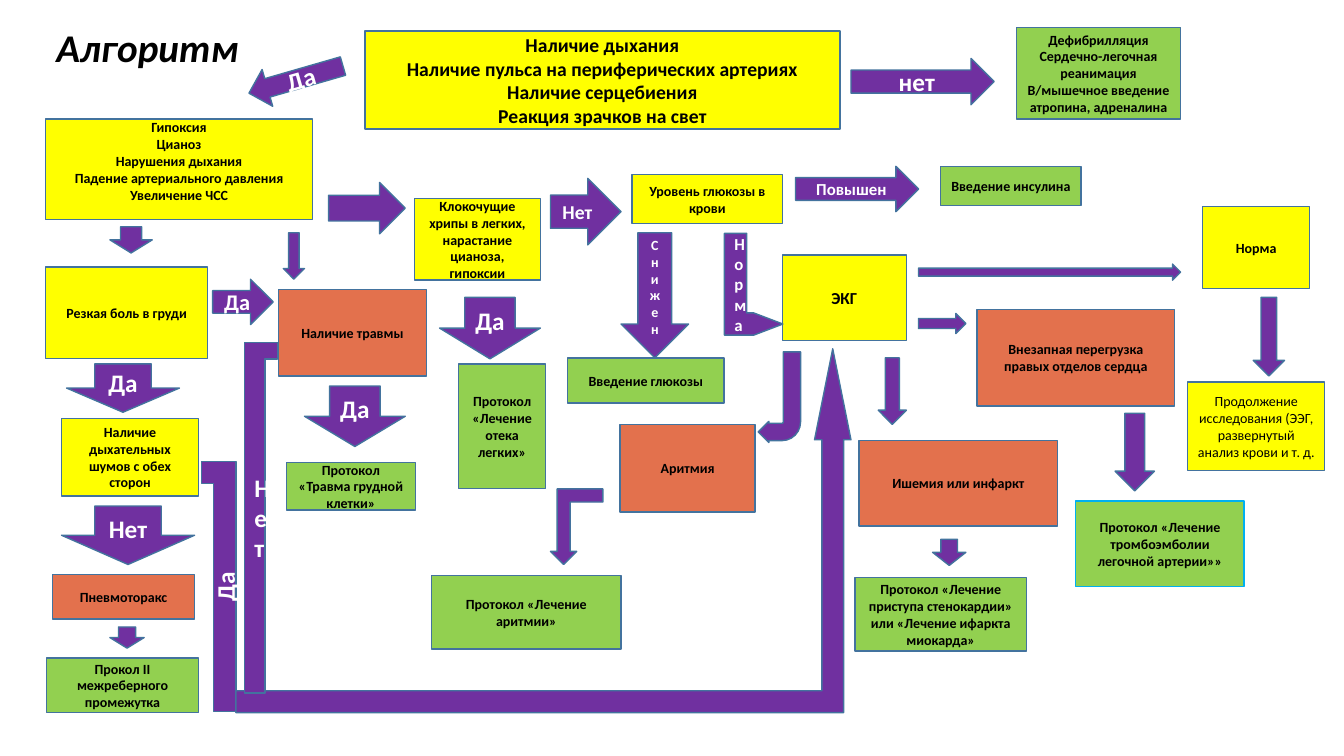
from pptx import Presentation
from pptx.dml.color import RGBColor
from pptx.enum.shapes import MSO_SHAPE
from pptx.enum.text import MSO_ANCHOR, MSO_AUTO_SIZE, PP_ALIGN
from pptx.util import Pt

RECTANGLE = MSO_SHAPE.RECTANGLE
RIGHT = MSO_SHAPE.RIGHT_ARROW
DOWN = MSO_SHAPE.DOWN_ARROW
BENT = MSO_SHAPE.BENT_ARROW
BENT_UP = MSO_SHAPE.BENT_UP_ARROW
CORNER = MSO_SHAPE.CORNER
TOP, MIDDLE = MSO_ANCHOR.TOP, MSO_ANCHOR.MIDDLE
LEFT, CENTER = PP_ALIGN.LEFT, PP_ALIGN.CENTER

PX = 9144  # 100 px to the inch
FONT = "Calibri"
COLORS = {
    "check": "FFFF00",
    "finding": "E3714D",
    "action": "92D050",
    "arrow": "7030A0",
    "outline": "43739E",
    "accent": "00B0F0",
    "dark": "000000",
    "light": "FFFFFF",
}


def write_text(shape, text, size=10, color="dark", bold=True, italic=False,
               align=CENTER, anchor=MIDDLE, wrap=True):
    frame = shape.text_frame
    frame.text = text
    frame.word_wrap = wrap
    frame.vertical_anchor = anchor
    for para in frame.paragraphs:
        para.alignment = align
        for span in para.runs:
            span.font.name = FONT
            span.font.size = Pt(size)
            span.font.bold = bold
            span.font.italic = italic
            span.font.color.rgb = RGBColor.from_string(COLORS[color])


def add_figure(page, kind, place, fill, outline="outline", turn=0, bends=()):
    """Add a filled preset shape; bends are its adjustment values."""
    figure = page.shapes.add_shape(kind, *(length * PX for length in place))
    figure.shadow.inherit = False
    figure.fill.solid()
    figure.fill.fore_color.rgb = RGBColor.from_string(COLORS[fill])
    figure.line.color.rgb = RGBColor.from_string(COLORS[outline])
    figure.line.width = Pt(1)
    figure.rotation = turn
    for index, bend in enumerate(bends):
        figure.adjustments[index] = bend
    return figure


deck = Presentation()
deck.slide_width = 1333 * PX
deck.slide_height = 750 * PX
page = deck.slides.add_slide(deck.slide_layouts[5])

title = page.shapes.title
title.left, title.top, title.width, title.height = (
    length * PX for length in (46, 18, 203, 57))
write_text(title, "Алгоритм", size=28, italic=True, align=LEFT, anchor=TOP, wrap=False)
title.text_frame.auto_size = MSO_AUTO_SIZE.SHAPE_TO_FIT_TEXT

# Steps: place, role, text, text format
steps = [
    ((362, 31, 471, 97), "check",
     "Наличие дыхания\nНаличие пульса на периферических артериях\n"
     "Наличие серцебиения\nРеакция зрачков на свет", {"size": 14}),
    ((45, 118, 265, 100), "check",
     "Гипоксия\nЦианоз\nНарушения дыхания\nПадение артериального давления\n"
     "Увеличение ЧСС", {"anchor": TOP}),
    ((1008, 27, 163, 91), "action",
     "Дефибрилляция\nСердечно-легочная реанимация\n"
     "В/мышечное введение атропина, адреналина", {}),
    ((45, 265, 161, 91), "check", "Резкая боль в груди", {}),
    ((276, 287, 147, 86), "finding", "Наличие травмы", {}),
    ((61, 415, 136, 77), "check", "Наличие дыхательных шумов с обех сторон", {}),
    ((52, 570, 141, 44), "finding", "Пневмоторакс", {}),
    ((46, 653, 151, 54), "action", "Прокол II межреберного промежутка", {}),
    ((284, 459, 128, 47), "action", "Протокол «Травма грудной клетки»", {}),
    ((627, 173, 149, 49), "check", "Уровень глюкозы в крови", {}),
    ((563, 355, 155, 45), "action", "Введение глюкозы", {}),
    ((933, 165, 139, 39), "action", "Введение инсулина", {}),
    ((776, 253, 123, 85), "check", "ЭКГ", {"size": 12}),
    ((615, 421, 134, 87), "finding", "Аритмия", {}),
    ((852, 437, 197, 85), "finding", "Ишемия или инфаркт", {}),
    ((969, 307, 196, 96), "finding", "Внезапная перегрузка правых отделов сердца", {}),
    ((1193, 205, 106, 81), "check", "Норма", {}),
    ((1178, 379, 136, 88), "check",
     "Продолжение исследования (ЭЭГ, развернутый анализ крови и т. д.", {"bold": False}),
    ((428, 571, 188, 73), "action", "Протокол «Лечение аритмии»", {}),
    ((848, 573, 170, 73), "action",
     "Протокол «Лечение приступа стенокардии» или «Лечение ифаркта миокарда»", {}),
    ((1067, 497, 167, 85), "action", "Протокол «Лечение тромбоэмболии легочной артерии»»", {}),
    ((411, 197, 125, 81), "check",
     "Клокочущие хрипы в легких, нарастание цианоза, гипоксии", {}),
    ((455, 361, 86, 124), "action", "Протокол\n«Лечение отека легких»", {}),
]
for place, role, text, text_format in steps:
    outline = "accent" if "тромбоэмболии" in text else "outline"
    step = add_figure(page, RECTANGLE, place, role, outline)
    write_text(step, text, **text_format)
    if text_format.get("anchor") == TOP:
        step.text_frame.margin_top = 0

# Straight arrows without a label
for kind, place in [
    (DOWN, (109, 225, 42, 26)),
    (DOWN, (109, 622, 34, 21)),
    (RIGHT, (326, 181, 76, 51)),
    (DOWN, (871, 355, 28, 66)),
    (RIGHT, (911, 262, 260, 16)),
    (DOWN, (1243, 295, 31, 78)),
    (DOWN, (925, 535, 33, 26)),
    (DOWN, (1106, 410, 39, 77)),
    (RIGHT, (911, 311, 47, 20)),
    (DOWN, (281, 231, 21, 46)),
]:
    add_figure(page, kind, place, "arrow")

# Straight arrows with a label
for kind, place, text, size in [
    (RIGHT, (844, 58, 142, 46), "нет", 18),
    (DOWN, (302, 383, 100, 60), "Да", 18),
    (DOWN, (66, 361, 112, 48), "Да", 18),
    (DOWN, (61, 502, 132, 58), "Нет", 18),
    (DOWN, (436, 295, 100, 61), "Да", 18),
    (RIGHT, (546, 177, 70, 66), "Нет", 14),
    (DOWN, (616, 231, 67, 124), "Снижен", 10),
    (RIGHT, (789, 165, 122, 45), "Повышен", 12),
    (RIGHT, (211, 277, 60, 45), "Да", 16),
]:
    write_text(add_figure(page, kind, place, "arrow"), text, size=size, color="light")

# Bent arrows
for kind, place, turn, bends in [
    (BENT, (752, 349, 42, 90), 180, (0.41, 0.25, 0.25, 0.44)),
    (BENT_UP, (546, 485, 52, 75), 180, ()),
]:
    add_figure(page, kind, place, "arrow", turn=turn, bends=bends)

# Bent branches with a label that runs along them
for kind, place, turn, bends, text, size, direction in [
    (BENT_UP, (697, 253, 101, 58), 90, (0.38, 0.19, 0.5), "Норма", 12, "vert270"),
    (CORNER, (200, 458, 34, 248), 180, (0.63, 0.65), "Да", 18, "vert"),
    (CORNER, (85, 497, 348, 33), 90, (0.62, 0.5), "Нет", 18, "vert270"),
]:
    branch = add_figure(page, kind, place, "arrow", turn=turn, bends=bends)
    write_text(branch, text, size=size, color="light")
    branch.text_frame._txBody.bodyPr.set("vert", direction)
    if text == "Да":
        add_figure(page, BENT_UP, (234, 346, 610, 361), "arrow", bends=(0.06, 0.05, 0.25))

breathing_arrow = add_figure(page, RIGHT, (245, 60, 97, 38), "arrow", turn=163.9)
breathing_arrow._element.spPr.xfrm.set("flipV", "1")
write_text(breathing_arrow, "Да", size=18, color="light")

deck.save("out.pptx")
